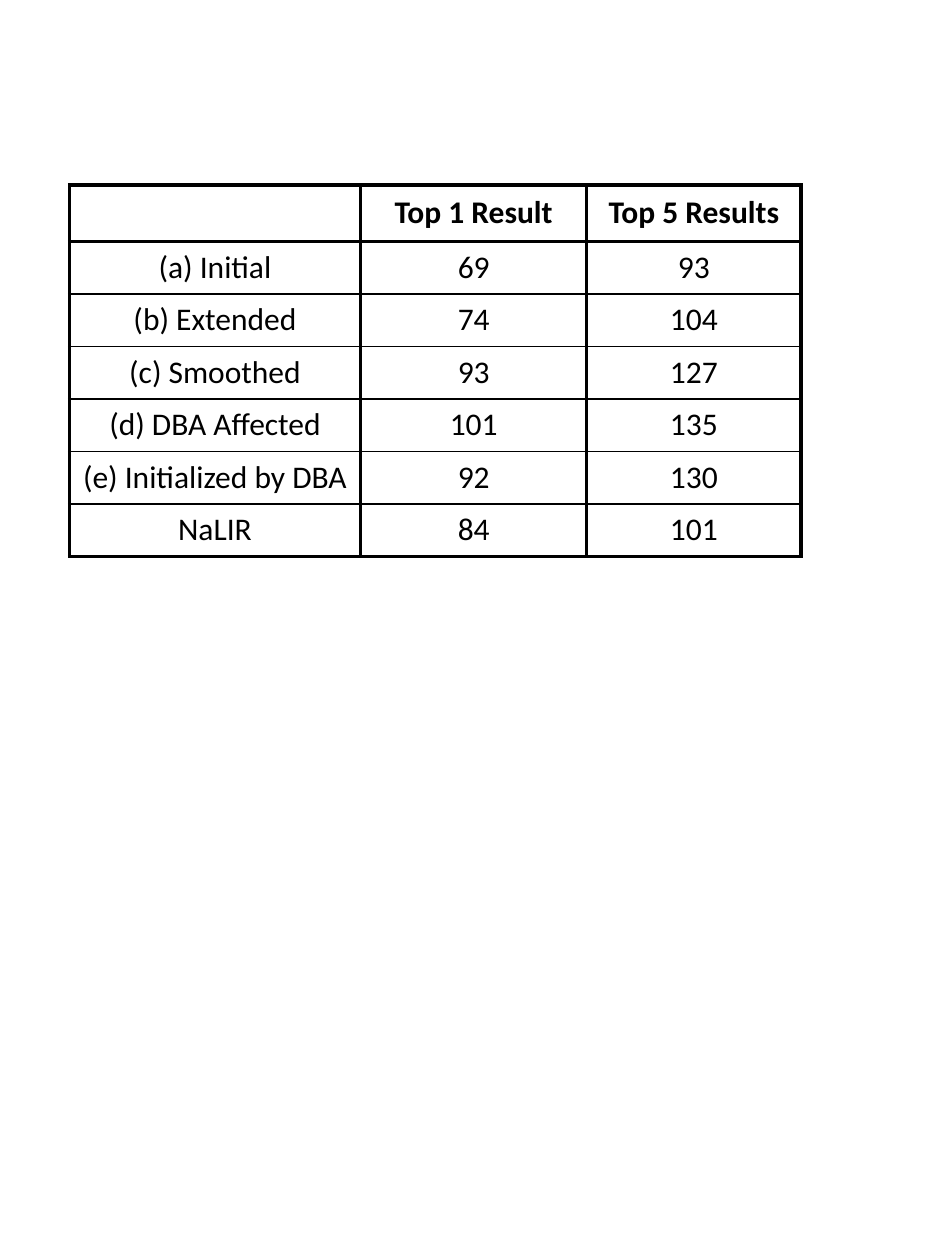
"""Build a slide with a table comparing top 1 and top 5 results."""
import dataclasses

import lxml.etree
import pptx
import pptx.dml.color
import pptx.enum.text
import pptx.oxml.ns
import pptx.util
from pptx.util import Cm


@dataclasses.dataclass(frozen=True)
class Theme:
    ink: str = "000000"
    paper: str = "FFFFFF"
    font: str = "Calibri"
    text_size: float = 18
    line_spacing: float = 0.9
    thick: float = 2.25
    thin: float = 1
    cell_margin: float = 0.18


class SlideBuilder:
    def __init__(self, slide, theme):
        self.slide = slide
        self.theme = theme

    def table(self, left, top, column_widths, row_heights, rows):
        shape = self.slide.shapes.add_table(
            len(rows), len(column_widths), Cm(left), Cm(top),
            Cm(sum(column_widths)), Cm(sum(row_heights)))
        table = shape.table
        table.first_row = table.horz_banding = False
        for column, width in zip(table.columns, column_widths):
            column.width = Cm(width)
        for row, height in zip(table.rows, row_heights):
            row.height = Cm(height)
        last = len(rows) - 1
        for row_index, values in enumerate(rows):
            top_width = self.theme.thick if row_index <= 1 else self.theme.thin
            bottom_width = self.theme.thick if row_index in (0, last) else self.theme.thin
            for column_index, value in enumerate(values):
                cell = table.cell(row_index, column_index)
                self.cell(cell, value, bold=row_index == 0)
                self.borders(cell, top_width, bottom_width)

    def cell(self, cell, text, bold):
        theme = self.theme
        cell.fill.solid()
        cell.fill.fore_color.rgb = pptx.dml.color.RGBColor.from_string(theme.paper)
        cell.vertical_anchor = pptx.enum.text.MSO_ANCHOR.MIDDLE
        cell.margin_left = cell.margin_right = Cm(theme.cell_margin)
        cell.margin_top = cell.margin_bottom = Cm(theme.cell_margin)
        cell.text_frame.text = text
        paragraph = cell.text_frame.paragraphs[0]
        paragraph.alignment = pptx.enum.text.PP_ALIGN.CENTER
        paragraph.line_spacing = theme.line_spacing
        for run in paragraph.runs:
            run.font.name = theme.font
            run.font.size = pptx.util.Pt(theme.text_size)
            run.font.bold = bold
            run.font.color.rgb = pptx.dml.color.RGBColor.from_string(theme.ink)

    def borders(self, cell, top_width, bottom_width):
        qn = pptx.oxml.ns.qn
        properties = cell._tc.get_or_add_tcPr()
        widths = {"a:lnL": self.theme.thick, "a:lnR": self.theme.thick,
                  "a:lnT": top_width, "a:lnB": bottom_width}
        for position, (tag, width) in enumerate(widths.items()):
            line = lxml.etree.Element(qn(tag), w=str(pptx.util.Pt(width)))
            fill = lxml.etree.SubElement(line, qn("a:solidFill"))
            lxml.etree.SubElement(fill, qn("a:srgbClr"), val=self.theme.ink)
            properties.insert(position, line)


def main():
    presentation = pptx.Presentation()
    presentation.slide_width = Cm(19.05)
    presentation.slide_height = Cm(25.4)
    slide = presentation.slides.add_slide(presentation.slide_layouts[6])
    builder = SlideBuilder(slide, Theme())
    results = [
        ("", "Top 1 Result", "Top 5 Results"),
        ("(a) Initial", "69", "93"),
        ("(b) Extended", "74", "104"),
        ("(c) Smoothed", "93", "127"),
        ("(d) DBA Affected", "101", "135"),
        ("(e) Initialized by DBA", "92", "130"),
        ("NaLIR", "84", "101"),
    ]
    row_heights = [1.11] + [1.04] * (len(results) - 1)
    builder.table(1.4, 3.73, [5.87, 4.56, 4.32], row_heights, results)
    presentation.save("out.pptx")


if __name__ == "__main__":
    main()
